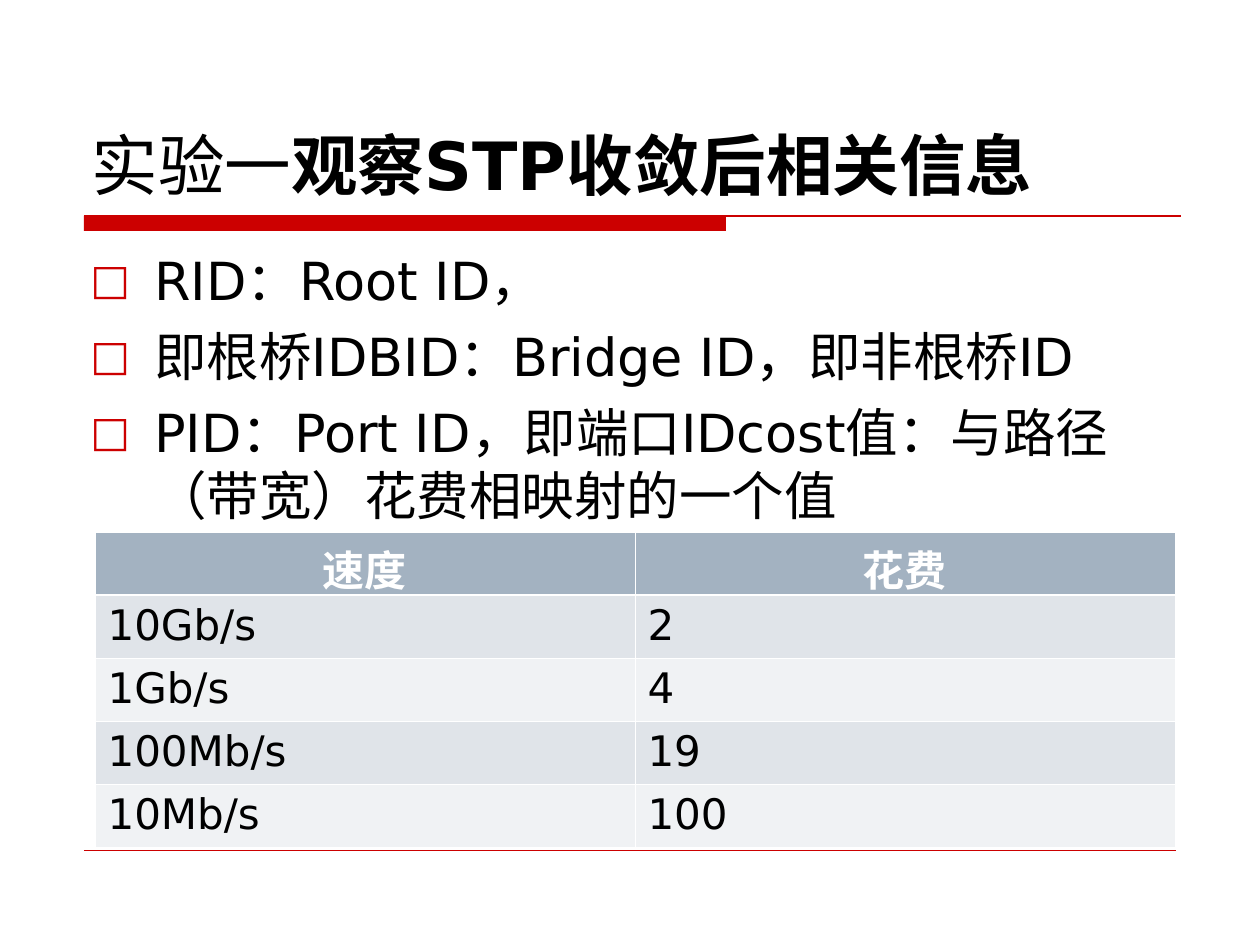
"""Build the slide on STP information after convergence."""
from lxml.etree import SubElement
from pptx import Presentation
from pptx.dml.color import RGBColor
from pptx.enum.shapes import MSO_CONNECTOR, MSO_SHAPE
from pptx.enum.text import MSO_ANCHOR, MSO_AUTO_SIZE, PP_ALIGN
from pptx.oxml.ns import qn
from pptx.util import Emu, Pt

PX = 914400 // 126
FONT = "DejaVu Sans"
BLACK = RGBColor(0x00, 0x00, 0x00)
WHITE = RGBColor(0xFF, 0xFF, 0xFF)
RED = RGBColor(0xCC, 0x00, 0x00)
HEADER_FILL = RGBColor(0xA3, 0xB2, 0xC1)
BAND_FILLS = RGBColor(0xF0, 0xF2, 0xF4), RGBColor(0xE0, 0xE4, 0xE9)

TITLE = [("实验一", False), ("观察STP收敛后相关信息", True)]
BULLETS = [
    "RID：Root ID，",
    "即根桥IDBID：Bridge ID，即非根桥ID",
    "PID：Port ID，即端口IDcost值：与路径（带宽）花费相映射的一个值",
]
COSTS = [
    ("速度", "花费"),
    ("10Gb/s", "2"),
    ("1Gb/s", "4"),
    ("100Mb/s", "19"),
    ("10Mb/s", "100"),
]
RULES = [((84, 216), (1181, 216), 0.75), ((84, 850), (1176, 850), 0.25)]
BAR_BOX = 84, 216, 642, 15
TITLE_BOX = 79, 42, 1102, 168
BODY_BOX = 78, 242, 1102, 588
TABLE_BOX = 95, 532, 1080, 315
INDENT = 64


def px(*lengths):
    return [Emu(length * PX) for length in lengths]


def add_text(paragraph, text, size, color=BLACK, bold=False, align=PP_ALIGN.LEFT):
    paragraph.alignment = align
    run = paragraph.add_run()
    run.text = text
    font = run.font
    font.name, font.size, font.bold = FONT, Pt(size), bold
    font.color.rgb = color


def add_rule(slide, start, end, width):
    line = slide.shapes.add_connector(MSO_CONNECTOR.STRAIGHT, *px(*start, *end))
    line.line.color.rgb = RED
    line.line.width = Pt(width)
    SubElement(line._element.spPr, qn("a:effectLst"))


def add_bullet(paragraph):
    properties = paragraph._p.get_or_add_pPr()
    properties.set("marL", str(INDENT * PX))
    properties.set("indent", str(-INDENT * PX))
    color = SubElement(properties, qn("a:buClr"))
    SubElement(color, qn("a:srgbClr"), val=str(RED))
    SubElement(properties, qn("a:buSzPct"), val="80000")
    SubElement(properties, qn("a:buFont"), typeface=FONT)
    SubElement(properties, qn("a:buChar"), char="□")


def add_borders(cell, **widths):
    properties = cell._tc.get_or_add_tcPr()
    for side in "LRTB":
        width = Pt(widths.get(side, 0.45))
        border = SubElement(properties, qn(f"a:ln{side}"), w=str(width))
        fill = SubElement(border, qn("a:solidFill"))
        SubElement(fill, qn("a:srgbClr"), val=str(WHITE))


def add_title(slide):
    title = slide.shapes.title
    title.left, title.top, title.width, title.height = px(*TITLE_BOX)
    frame = title.text_frame
    frame.auto_size = MSO_AUTO_SIZE.NONE
    frame.vertical_anchor = MSO_ANCHOR.BOTTOM
    for text, bold in TITLE:
        add_text(frame.paragraphs[0], text, 38, bold=bold)


def add_body(slide):
    frame = slide.shapes.add_textbox(*px(*BODY_BOX)).text_frame
    frame.word_wrap = True
    for index, text in enumerate(BULLETS):
        paragraph = frame.add_paragraph() if index else frame.paragraphs[0]
        add_bullet(paragraph)
        paragraph.space_before = Pt(7.5 if index else 0)
        add_text(paragraph, text, 30)


def add_cost_table(slide):
    table = slide.shapes.add_table(len(COSTS), len(COSTS[0]), *px(*TABLE_BOX)).table
    for row, values in enumerate(COSTS):
        for column, text in enumerate(values):
            cell = table.cell(row, column)
            header = row == 0
            add_borders(cell, **{0: {"B": 1.47}, 1: {"T": 1.47}}.get(row, {}))
            cell.fill.solid()
            cell.fill.fore_color.rgb = HEADER_FILL if header else BAND_FILLS[row % 2]
            add_text(
                cell.text_frame.paragraphs[0], text, 24,
                color=WHITE if header else BLACK, bold=header,
                align=PP_ALIGN.CENTER if header else PP_ALIGN.LEFT,
            )


def main():
    presentation = Presentation()
    presentation.slide_width, presentation.slide_height = px(1260, 945)
    slide = presentation.slides.add_slide(presentation.slide_layouts[5])
    bar = slide.shapes.add_shape(MSO_SHAPE.RECTANGLE, *px(*BAR_BOX))
    bar.shadow.inherit = False
    bar.fill.solid()
    bar.fill.fore_color.rgb = RED
    bar.line.fill.background()
    for start, end, width in RULES:
        add_rule(slide, start, end, width)
    add_title(slide)
    add_body(slide)
    add_cost_table(slide)
    presentation.save("out.pptx")


if __name__ == "__main__":
    main()
